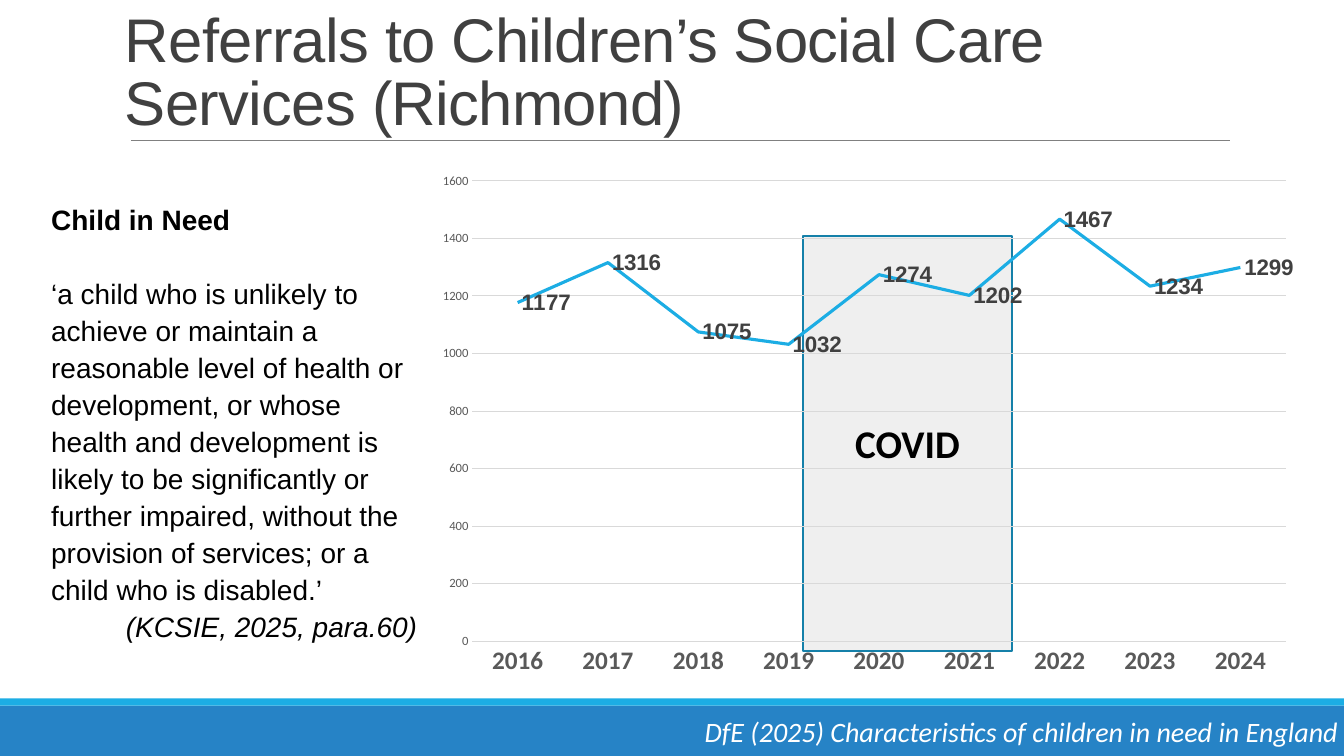
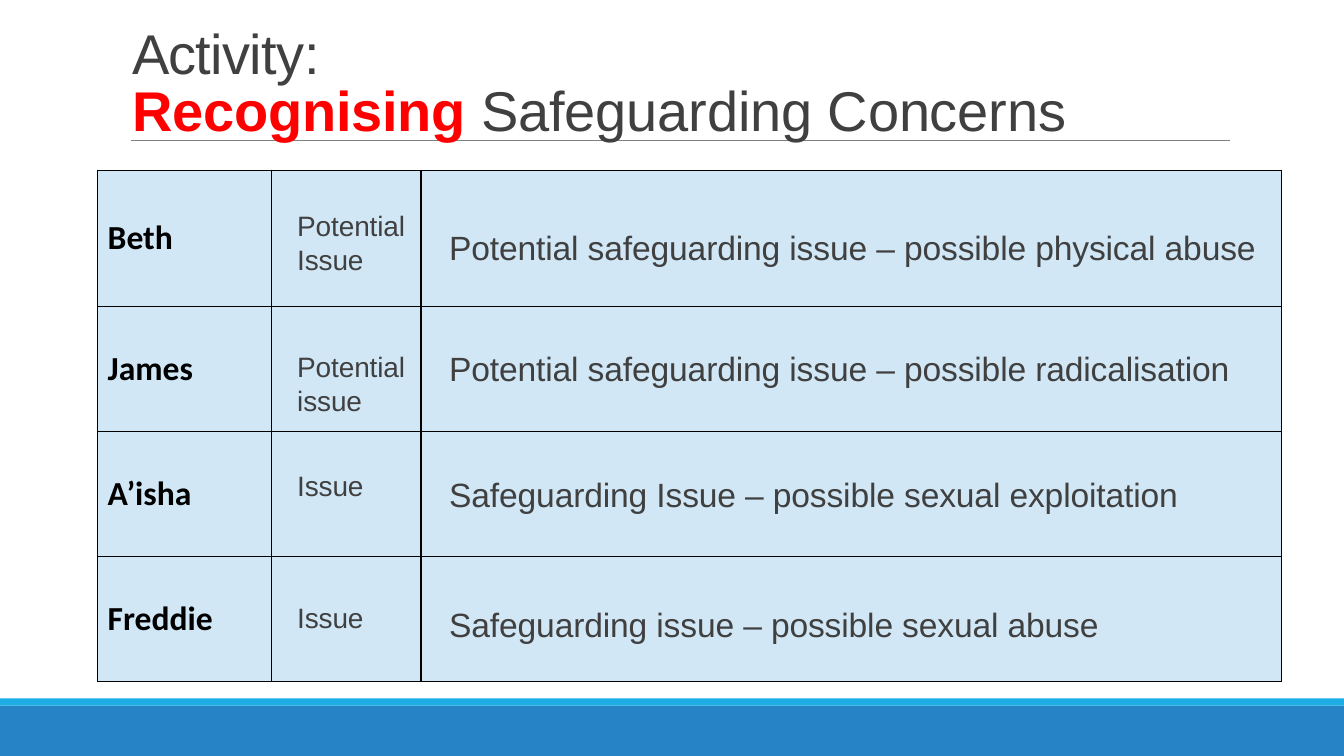
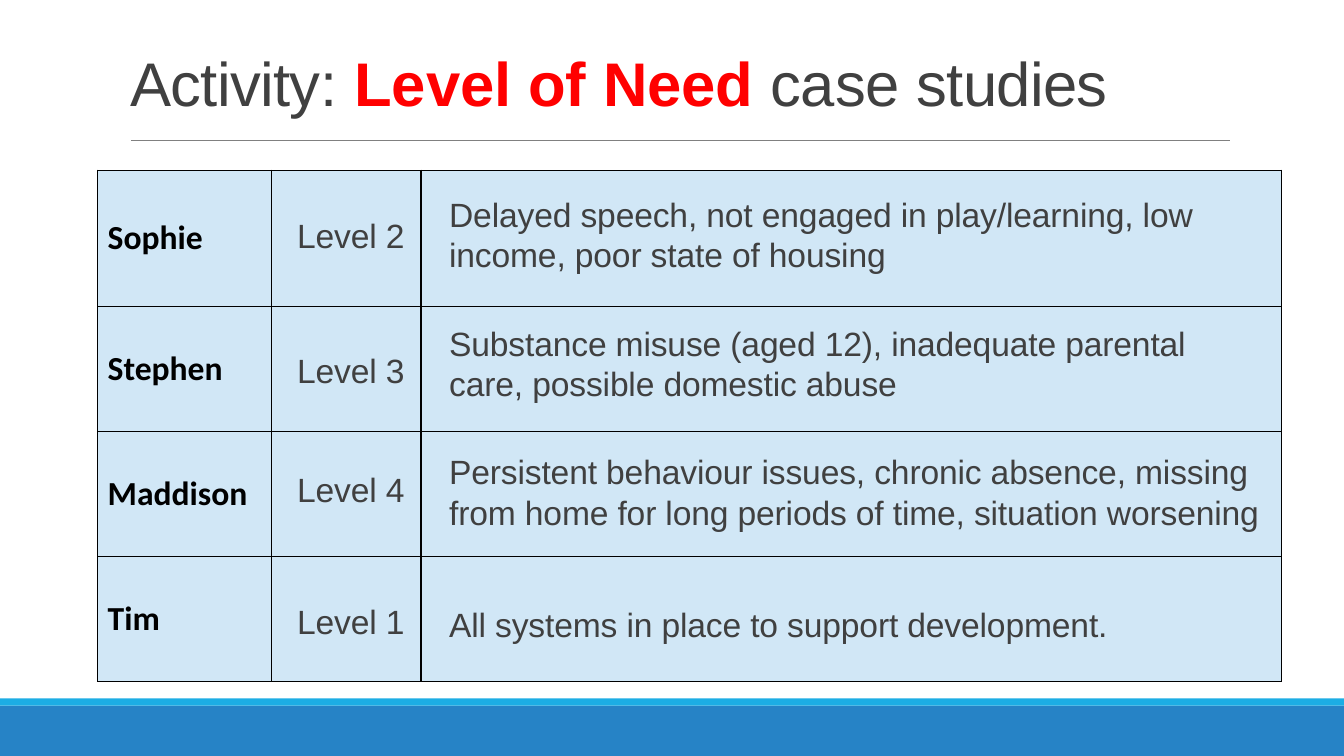
"""Build three safeguarding training slides: a referrals chart and two case study tables."""
from lxml import etree
from pptx import Presentation
from pptx.chart.data import CategoryChartData
from pptx.dml.color import RGBColor
from pptx.enum.chart import XL_CHART_TYPE, XL_LABEL_POSITION, XL_MARKER_STYLE, XL_TICK_MARK
from pptx.enum.shapes import MSO_CONNECTOR, MSO_SHAPE
from pptx.enum.text import MSO_ANCHOR, MSO_AUTO_SIZE, PP_ALIGN
from pptx.oxml import parse_xml
from pptx.oxml.ns import nsdecls, qn
from pptx.util import Cm, Pt

COLORS = {
    "band": "2683C6", "accent": "1CADE4", "rule": "808080", "title": "404040",
    "highlight": "FF0000", "text": "000000", "footer": "FFFFFF", "cell": "D1E7F6",
    "covid": "BFBFBF", "covid_edge": "1580A9", "axis": "595959", "grid": "D9D9D9",
}
RGB = {name: RGBColor.from_string(value) for name, value in COLORS.items()}


def style_font(font, size, color, name="Arial", bold=False, italic=False):
    font.size, font.name = Pt(size), name
    font.bold, font.italic = bold, italic
    font.color.rgb = RGB[color]


def add_text(slide, box, text, size, color, name="Arial", italic=False, tracking=0):
    frame = slide.shapes.add_textbox(*map(Cm, box)).text_frame
    frame.word_wrap = True
    frame.text = text
    for paragraph in frame.paragraphs:
        for run in paragraph.runs:
            style_font(run.font, size, color, name, italic=italic)
            run.font._element.set("spc", str(tracking))
    return frame


prs = Presentation()
prs.slide_width, prs.slide_height = Cm(33.87), Cm(19.05)

titles = [
    ((2.9, 0.79, 27.94, 2.82), 44, 0.85, 0, 0.25,
     [("Referrals to Children’s Social Care Services (Richmond)", "title", -50)]),
    ((3.33, 0.66, 25.25, 2.95), 40, 0.85, 1.1, 0,
     [("Activity", "title", -50), (":", "title", -110), ("\v", "title", 0),
      ("Recognising", "highlight", -10), (" Safeguarding Concerns", "title", -10)]),
    ((3.28, 1.07, 25.3, 1.93), 44, 1, 1.1, 0,
     [("Activity", "title", -50), (": ", "title", -10), ("Level of Need ", "highlight", -10),
      ("case", "title", -10), (" studies", "title", -50)]),
]

for box, size, spacing, space_before, inset, pieces in titles:
    slide = prs.slides.add_slide(prs.slide_layouts[6])
    for top, height, color in [(17.78, 1.27, "band"), (17.6, 0.18, "accent")]:
        band = slide.shapes.add_shape(
            MSO_SHAPE.RECTANGLE, 0, Cm(top), prs.slide_width, Cm(height))
        band.shadow.inherit = False
        band.fill.solid()
        band.fill.fore_color.rgb = RGB[color]
        band.line.fill.background()
    rule = slide.shapes.add_connector(
        MSO_CONNECTOR.STRAIGHT, Cm(3.3), Cm(3.53), Cm(30.99), Cm(3.53))
    rule.line.color.rgb = RGB["rule"]
    rule.line.width = Pt(0.5)
    etree.SubElement(rule._element.spPr, qn("a:effectLst"))

    heading = slide.shapes.add_textbox(*map(Cm, box)).text_frame
    heading.word_wrap = True
    heading.vertical_anchor = MSO_ANCHOR.BOTTOM
    heading.margin_left = heading.margin_right = Cm(inset)
    heading.margin_top = heading.margin_bottom = Cm(inset / 2)
    line = heading.paragraphs[0]
    line.line_spacing = spacing
    line.space_before = Pt(space_before)
    for text, color, tracking in pieces:
        if text == "\v":
            line.add_line_break()
            continue
        run = line.add_run()
        run.text = text
        style_font(run.font, size, color, bold=color == "highlight")
        run.font._element.set("spc", str(tracking))

referrals, recognising, levels = prs.slides

covid = referrals.shapes.add_shape(
    MSO_SHAPE.RECTANGLE, Cm(20.24), Cm(5.94), Cm(5.26), Cm(10.46))
covid.shadow.inherit = False
covid.fill.solid()
covid.fill.fore_color.rgb = RGB["covid"]
shade = covid._element.spPr.find(qn("a:solidFill"))[0]
etree.SubElement(shade, qn("a:alpha")).set("val", "24000")
covid.line.color.rgb = RGB["covid_edge"]
covid.line.width = Pt(1.25)
covid.text_frame.text = "COVID"
covid.text_frame.vertical_anchor = MSO_ANCHOR.MIDDLE
covid_label = covid.text_frame.paragraphs[0]
covid_label.alignment = PP_ALIGN.CENTER
style_font(covid_label.runs[0].font, 28, "text", "Calibri", bold=True)

data = CategoryChartData()
data.categories = [str(year) for year in range(2016, 2025)]
data.add_series("Series 1", [1177, 1316, 1075, 1032, 1274, 1202, 1467, 1234, 1299])
chart = referrals.shapes.add_chart(
    XL_CHART_TYPE.LINE, Cm(10.72), Cm(4.11), Cm(22.12), Cm(13.18), data).chart
chart.has_title = False
chart.has_legend = False
style_font(chart.font, 10, "text", "Calibri")
clear = f'<c:spPr {nsdecls("c", "a")}><a:noFill/><a:ln><a:noFill/></a:ln></c:spPr>'
chart.element.find(qn("c:txPr")).addprevious(parse_xml(clear))

years, counts = chart.category_axis, chart.value_axis
for axis, size, bold in [(years, 18, True), (counts, 9, False)]:
    axis.major_tick_mark = axis.minor_tick_mark = XL_TICK_MARK.NONE
    style_font(axis.tick_labels.font, size, "axis", "Calibri", bold=bold)
counts.minimum_scale, counts.maximum_scale, counts.major_unit = 0, 1600, 200
counts.format.line.fill.background()
for grid_line in (years.format.line, counts.major_gridlines.format.line):
    grid_line.color.rgb = RGB["grid"]
    grid_line.width = Pt(0.75)

plot = chart.plots[0]
plot.vary_by_categories = False
series = plot.series[0]
series.smooth = False
series.marker.style = XL_MARKER_STYLE.NONE
series.format.line.color.rgb = RGB["accent"]
series.format.line.width = Pt(2.25)
labels = series.data_labels
labels.show_value = True
labels.position = XL_LABEL_POSITION.RIGHT
style_font(labels.font, 16, "title", bold=True)

source = add_text(
    referrals, (0, 17.7, 33.73, 1.35),
    "DfE (2025) Characteristics of children in need in England",
    20, "footer", "Calibri", italic=True)
source.margin_left = source.margin_right = 0
source.paragraphs[0].alignment = PP_ALIGN.RIGHT
source.paragraphs[0].line_spacing = 1.2
source.paragraphs[0].space_before = Pt(6)

definition = add_text(
    referrals, (1.04, 4.9, 9.73, 11.51),
    "Child in Need\n"
    "‘a child who is unlikely to achieve or maintain a reasonable level of health or "
    "development, or whose health and development is likely to be significantly or further "
    "impaired, without the provision of services; or a child who is disabled.’\n"
    "(KCSIE, 2025, para.60)", 20, "text")
for paragraph in definition.paragraphs:
    paragraph.line_spacing = 1.1
term, _, citation = definition.paragraphs
term.runs[0].font.bold = True
term.space_after = Pt(26.4)
citation.alignment = PP_ALIGN.RIGHT
citation.runs[0].font.italic = True

activities = [
    (recognising, 20, [
        ("Beth", "Potential Issue", 5.13,
         "Potential safeguarding issue – possible physical abuse", 5.59, 21.2),
        ("James", "Potential issue", 8.69,
         "Potential safeguarding issue – possible radicalisation", 8.64, 20.75),
        ("A’isha", "Issue", 11.68,
         "Safeguarding Issue – possible sexual exploitation", 11.81, 20.75),
        ("Freddie", "Issue", 15.01,
         "Safeguarding issue – possible sexual abuse", 15.09, 20.75),
    ]),
    (levels, 24, [
        ("Sophie", "Level 2", 5.28,
         "Delayed speech, not engaged in play/learning, low income, poor state of housing",
         4.75, 20.75),
        ("Stephen", "Level 3", 8.69,
         "Substance misuse (aged 12), inadequate parental care, possible domestic abuse",
         8, 20.75),
        ("Maddison", "Level 4", 11.68,
         "Persistent behaviour issues, chronic absence, missing from home for long periods "
         "of time, situation worsening", 11.25, 21.2),
        ("Tim", "Level 1", 15.01,
         "All systems in place to support development.", 15.09, 20.75),
    ]),
]

for slide, verdict_size, cases in activities:
    table = slide.shapes.add_table(
        len(cases), 3, Cm(2.46), Cm(4.29), Cm(29.84), Cm(12.88)).table
    for column, width in zip(table.columns, (4.39, 3.76, 21.69)):
        column.width = Cm(width)
    for row, height in zip(table.rows, (3.43, 3.15, 3.15, 3.15)):
        row.height = Cm(height)
    for cell in table.iter_cells():
        borders = cell._tc.get_or_add_tcPr()
        for side in "LRTB":
            borders.append(parse_xml(
                f'<a:ln{side} {nsdecls("a")} w="12700"><a:solidFill>'
                f'<a:srgbClr val="{COLORS["text"]}"/></a:solidFill></a:ln{side}>'))
        cell.fill.solid()
        cell.fill.fore_color.rgb = RGB["cell"]
        cell.vertical_anchor = MSO_ANCHOR.MIDDLE
    for index, (child, verdict, verdict_top, reason, reason_top, reason_width) in enumerate(cases):
        name_cell = table.cell(index, 0)
        name_cell.text_frame.text = child
        style_font(name_cell.text_frame.paragraphs[0].runs[0].font, 24, "text", "Calibri", bold=True)
        verdict_box = (7.24, verdict_top, 3.25, 1.96 if len(verdict) > 7 else 1.27)
        reason_box = (11.07, reason_top, reason_width, 2.31 if len(reason) > 60 else 1.27)
        for box, text, size in [(verdict_box, verdict, verdict_size), (reason_box, reason, 24)]:
            note = add_text(slide, box, text, size, "title", tracking=-10)
            note.auto_size = MSO_AUTO_SIZE.SHAPE_TO_FIT_TEXT

prs.save("out.pptx")
